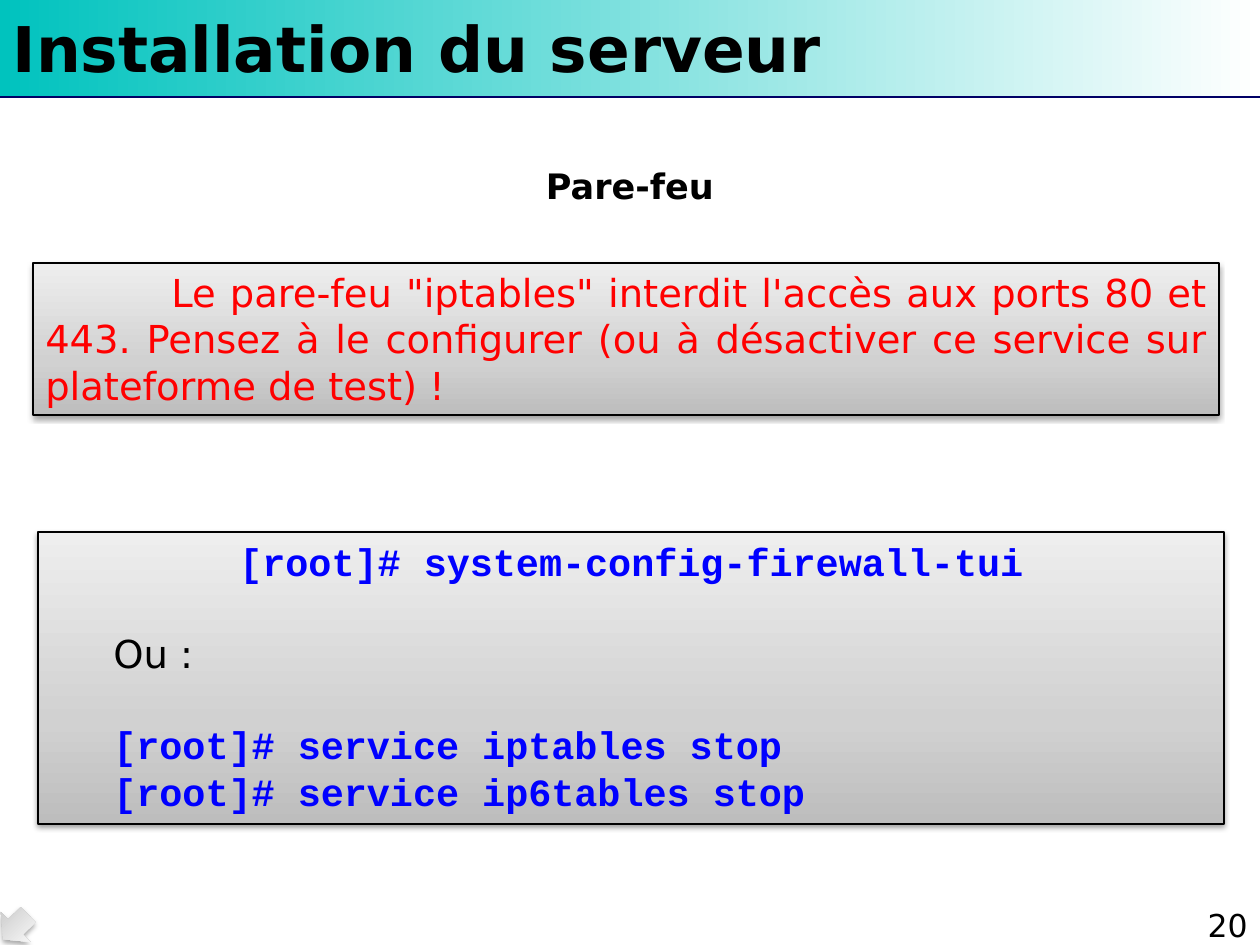
"""Build the firewall slide of a server installation course."""
from lxml import etree
from pptx import Presentation
from pptx import util as u
from pptx.dml.color import RGBColor
from pptx.enum import shapes, text
from pptx.oxml.ns import nsdecls, qn

HEADING = "Installation du serveur"
TOPIC = "Pare-feu"
PAGE = "20"
WARNING = [
    dict(words="Le pare-feu \"iptables\" interdit l'accès aux ports 80 et 443. "
               "Pensez à le configurer (ou à désactiver ce service sur "
               "plateforme de test) !",
         look="warning", align="JUSTIFY", first=126),
]
COMMANDS = [
    dict(words="[root]# system-config-firewall-tui", look="code", left=63, first=126),
    dict(words="Ou :", look="body", left=63, before=26),
    dict(words="[root]# service iptables stop", look="code", left=63, before=26),
    dict(words="[root]# service ip6tables stop", look="code", left=63),
]
PANELS = [((33, 263, 1186, 152), WARNING), ((38, 532, 1186, 292), COMMANDS)]

SANS, MONO = "DejaVu Sans", "Courier New"
THEME = {
    "heading": (SANS, 36, "000000", True),
    "topic": (SANS, 20, "000000", True),
    "page": (SANS, 18, "000000", False),
    "warning": (SANS, 22, "FF0000", False),
    "body": (SANS, 22, "000000", False),
    "code": (MONO, 22, "0000FF", True),
    "band": ([(0, "00C3BE"), (100, "FFFFFF")], 0),
    "panel": ([(0, "BDBDBD"), (35, "D1D1D1"), (100, "EEEEEE")], 270),
    "arrow": ([(0, "BEBEBE"), (80, "F7F7F7"), (100, "F8F8F8")], 270),
    "rule": "000066",
    "border": "000000",
}
SCALE = 914400 / 126


def px(length):
    return u.Emu(round(length * SCALE))


def place(item, box):
    item.left, item.top, item.width, item.height = map(px, box)


def write(frame, paragraphs, anchor="TOP"):
    frame.word_wrap = True
    frame.auto_size = text.MSO_AUTO_SIZE.NONE
    frame.vertical_anchor = getattr(text.MSO_ANCHOR, anchor)
    frame.text = "\n".join(entry["words"] for entry in paragraphs)
    for paragraph, entry in zip(frame.paragraphs, paragraphs):
        paragraph.alignment = getattr(text.PP_ALIGN, entry.get("align", "LEFT"))
        properties = paragraph._p.get_or_add_pPr()
        properties.set("marL", str(px(entry.get("left", 0))))
        properties.set("indent", str(px(entry.get("first", 0))))
        if "before" in entry:
            paragraph.space_before = u.Pt(entry["before"])
        if "spacing" in entry:
            paragraph.line_spacing = entry["spacing"]
        for run in paragraph.runs:
            face, size, colour, bold = THEME[entry["look"]]
            run.font.name, run.font.size, run.font.bold = face, u.Pt(size), bold
            run.font.color.rgb = RGBColor.from_string(colour)


def add_label(slide, box, entry):
    label = slide.shapes.add_textbox(*map(px, box))
    write(label.text_frame, [entry])
    return label


def add_gradient_shape(slide, preset, box, look, border=None, shadow=None):
    shape = slide.shapes.add_shape(preset, *map(px, box))
    stops, angle = THEME[look]
    stop_xml = "".join(
        f'<a:gs pos="{position * 1000}"><a:srgbClr val="{colour}"/></a:gs>'
        for position, colour in stops)
    shape._element.spPr.append(etree.fromstring(
        f'<a:gradFill {nsdecls("a")} rotWithShape="1"><a:gsLst>{stop_xml}</a:gsLst>'
        f'<a:lin ang="{angle * 60000}" scaled="0"/></a:gradFill>'))
    if border:
        shape.line.color.rgb = RGBColor.from_string(border)
        shape.line.width = u.Pt(0.75)
    else:
        shape.line.fill.background()
    shape.shadow.inherit = False
    if shadow:
        distance, opacity = shadow
        shape._element.spPr.find(qn("a:effectLst")).append(etree.fromstring(
            f'<a:outerShdw {nsdecls("a")} blurRad="{u.Pt(3.1)}" '
            f'dist="{u.Pt(distance)}" dir="5400000" rotWithShape="0">'
            f'<a:srgbClr val="000000"><a:alpha val="{opacity * 1000}"/></a:srgbClr>'
            '</a:outerShdw>'))
    return shape


def main():
    deck = Presentation()
    deck.slide_width, deck.slide_height = px(1260), px(945)
    slide = deck.slides.add_slide(deck.slide_layouts[5])
    rect = shapes.MSO_SHAPE.RECTANGLE

    band = add_gradient_shape(slide, rect, (0, 0, 1260, 97), "band")
    rule = slide.shapes.add_connector(
        shapes.MSO_CONNECTOR.STRAIGHT, *map(px, (0, 97, 1260, 97)))
    rule.line.color.rgb = RGBColor.from_string(THEME["rule"])
    rule.line.width = u.Pt(0.75)
    etree.SubElement(rule._element.spPr, qn("a:effectLst"))

    heading = slide.shapes.title
    place(heading, (0, 3, 1260, 89))
    write(heading.text_frame, [dict(words=HEADING, look="heading")], "MIDDLE")
    rule._element.addnext(heading._element)

    topic = add_label(slide, (0, 125, 1260, 113), dict(
        words=TOPIC, look="topic", align="CENTER", spacing=1.7))
    topic.text_frame.margin_top = px(10)
    add_label(slide, (1176, 900, 84, 50),
              dict(words=PAGE, look="page", align="RIGHT"))

    arrow = add_gradient_shape(slide, shapes.MSO_SHAPE.RIGHT_ARROW,
                               (-2, 906, 35, 42), "arrow", shadow=(1.8, 35))
    arrow.rotation = 135.5

    for box, paragraphs in PANELS:
        panel = add_gradient_shape(slide, rect, box, "panel",
                                   THEME["border"], (1.6, 38))
        write(panel.text_frame, paragraphs)

    deck.save("out.pptx")


if __name__ == "__main__":
    main()
